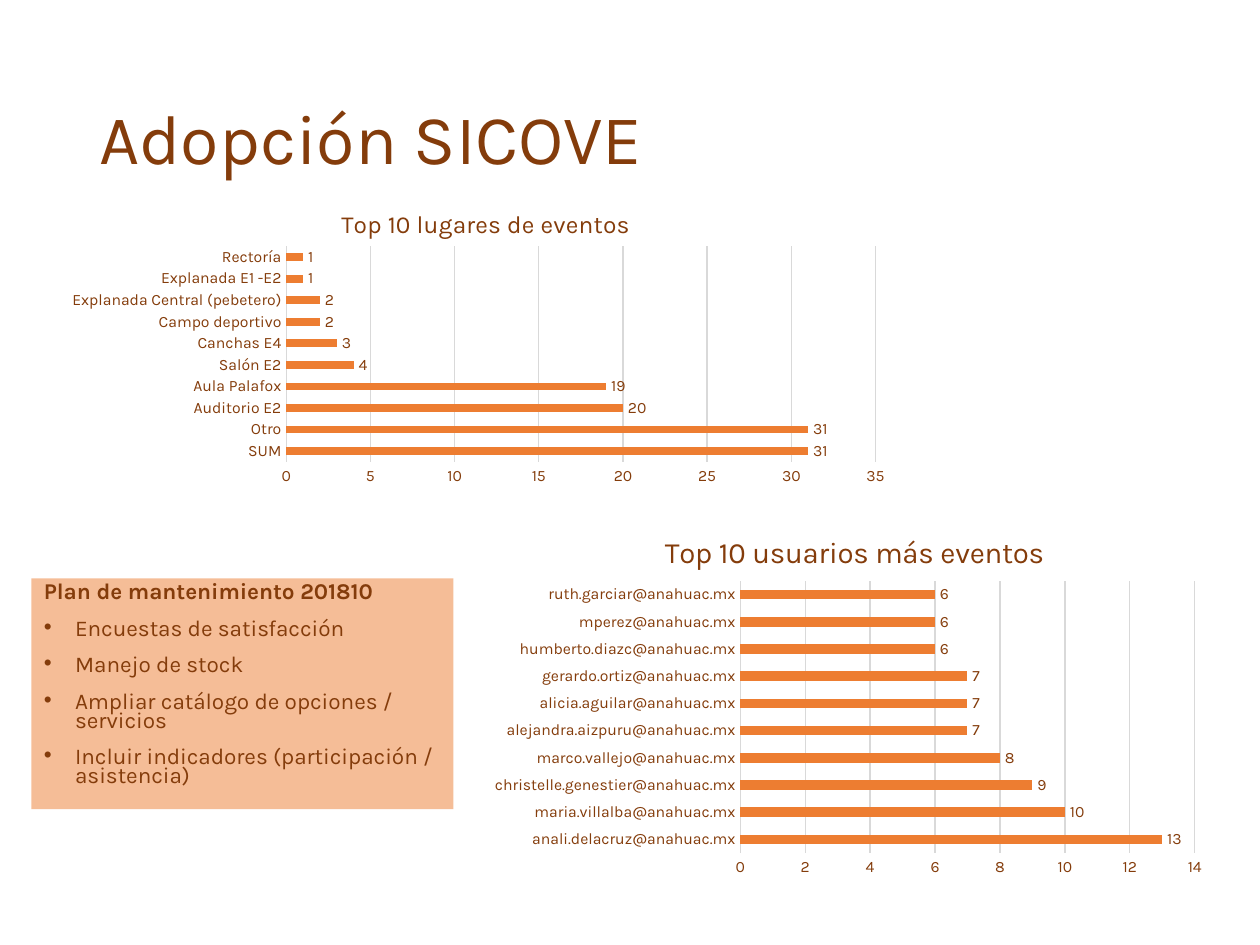
from lxml import etree
from pptx import Presentation
from pptx import util as u
from pptx.chart import data as cd
from pptx.dml.color import RGBColor
from pptx.enum import chart as ch
from pptx.enum import text
from pptx.oxml import ns

BROWN = RGBColor(0x84, 0x3C, 0x0B)
ORANGE = RGBColor(0xED, 0x7D, 0x31)
GREY = RGBColor(0xD9, 0xD9, 0xD9)
FONT = "Karla"

PLACES = [("SUM", 31), ("Otro", 31), ("Auditorio E2", 20), ("Aula Palafox", 19),
          ("Salón E2", 4), ("Canchas E4", 3), ("Campo deportivo", 2),
          ("Explanada Central (pebetero)", 2), ("Explanada E1 -E2", 1), ("Rectoría", 1)]
USERS = [("anali.delacruz", 13), ("maria.villalba", 10), ("christelle.genestier", 9),
         ("marco.vallejo", 8), ("alejandra.aizpuru", 7), ("alicia.aguilar", 7),
         ("gerardo.ortiz", 7), ("humberto.diazc", 6), ("mperez", 6), ("ruth.garciar", 6)]
PLAN = ["Plan de mantenimiento 201810", "Encuestas de satisfacción", "Manejo de stock",
        "Ampliar catálogo de opciones / servicios",
        "Incluir indicadores (participación / asistencia)"]


def style(font, size, bold=False):
    """Apply the slide's font and text colour."""
    font.name, font.size, font.bold = FONT, u.Pt(size), bold
    font.color.rgb = BROWN


def place(sp, left, top, width, height):
    """Position a shape, in centimetres."""
    sp.left, sp.top, sp.width, sp.height = map(u.Cm, (left, top, width, height))


def set_layout(parent, index, **values):
    """Fix the position of a chart part as fractions of the chart."""
    for old in parent.findall(ns.qn("c:layout")):
        parent.remove(old)
    layout = etree.Element(ns.qn("c:layout"))
    manual = etree.SubElement(layout, ns.qn("c:manualLayout"))
    if "w" in values:
        etree.SubElement(manual, ns.qn("c:layoutTarget")).set("val", "inner")
    for key in ("xMode", "yMode"):
        etree.SubElement(manual, ns.qn("c:" + key)).set("val", "edge")
    for key, value in values.items():
        etree.SubElement(manual, ns.qn("c:" + key)).set("val", str(value))
    parent.insert(index, layout)


def add_title(s, title):
    """Fill the title placeholder."""
    sp = s.shapes.title
    place(sp, 1.75, 1.02, 21.9, 3.68)
    tf = sp.text_frame
    tf.text = title
    tf.vertical_anchor = text.MSO_ANCHOR.MIDDLE
    p = tf.paragraphs[0]
    p.alignment, p.line_spacing = text.PP_ALIGN.LEFT, 0.9
    style(p.runs[0].font, 40)


def add_plan(s, lines):
    """Fill the body placeholder with a heading and bullets."""
    sp = s.placeholders[1]
    place(sp, 0.63, 11.66, 8.51, 4.65)
    sp.fill.solid()
    sp.fill.fore_color.rgb = ORANGE
    color = sp.fill._xPr.find(".//" + ns.qn("a:srgbClr"))
    etree.SubElement(color, ns.qn("a:alpha")).set("val", "50000")
    tf = sp.text_frame
    tf.text = "\n".join(lines)
    tf.auto_size = text.MSO_AUTO_SIZE.NONE
    for i, p in enumerate(tf.paragraphs):
        p.line_spacing, p.space_before = 0.7, u.Pt(10 if i else 0)
        pPr = p._p.get_or_add_pPr()
        indent = u.Cm(0.63) if i else 0
        pPr.set("marL", str(indent))
        pPr.set("indent", str(-indent))
        if i:
            etree.SubElement(pPr, ns.qn("a:buFont")).set("typeface", "Arial")
            etree.SubElement(pPr, ns.qn("a:buChar")).set("char", "•")
        else:
            etree.SubElement(pPr, ns.qn("a:buNone"))
        style(p.runs[0].font, 12.9, bold=i == 0)


def add_bars(s, title, size, rows, box, top, step, title_at, plot):
    """Add a titled bar chart with value labels."""
    data = cd.CategoryChartData()
    data.categories = [name for name, _ in rows]
    data.add_series("Series 1", [value for _, value in rows])
    chart = s.shapes.add_chart(ch.XL_CHART_TYPE.BAR_CLUSTERED, *map(u.Cm, box), data).chart
    style(chart.font, 9)
    chart.has_legend = False
    tf = chart.chart_title.text_frame
    tf.text = title
    style(tf.paragraphs[0].runs[0].font, size)
    set_layout(chart.chart_title._element, 1, **dict(zip("xy", title_at)))
    set_layout(chart._chartSpace.chart.plotArea, 0, **dict(zip("xywh", plot)))
    cat, val = chart.category_axis, chart.value_axis
    for axis in (cat, val):
        axis.major_tick_mark = axis.minor_tick_mark = ch.XL_TICK_MARK.NONE
        style(axis.tick_labels.font, 9)
    val.minimum_scale, val.maximum_scale, val.major_unit = 0, top, step
    val.format.line.fill.background()
    for fmt in (cat.format, val.major_gridlines.format):
        fmt.line.color.rgb, fmt.line.width = GREY, u.Pt(0.75)
    bars = chart.plots[0]
    bars.gap_width, bars.vary_by_categories = 182, False
    fill = bars.series[0].format.fill
    fill.solid()
    fill.fore_color.rgb = ORANGE
    bars.has_data_labels = True
    labels = bars.data_labels
    labels.show_value = True
    labels.position = ch.XL_LABEL_POSITION.OUTSIDE_END
    style(labels.font, 9)


def main():
    """Build the slide."""
    prs = Presentation()
    prs.slide_width, prs.slide_height = u.Cm(25.4), u.Cm(19.05)
    s = prs.slides.add_slide(prs.slide_layouts[1])
    add_title(s, "Adopción SICOVE")
    add_bars(s, "Top 10 lugares de eventos", 14, PLACES, (1.19, 3.73, 16.97, 6.2),
             35, 5, (0.33, 0.06), (0.27, 0.2, 0.7, 0.7))
    users = [(f"{name}@anahuac.mx", count) for name, count in USERS]
    add_bars(s, "Top 10 usuarios más eventos", 16.8, users, (9.75, 10.19, 14.78, 7.62),
             14, 2, (0.24, 0.06), (0.35, 0.2, 0.62, 0.72))
    add_plan(s, PLAN)
    prs.save("out.pptx")


if __name__ == "__main__":
    main()
